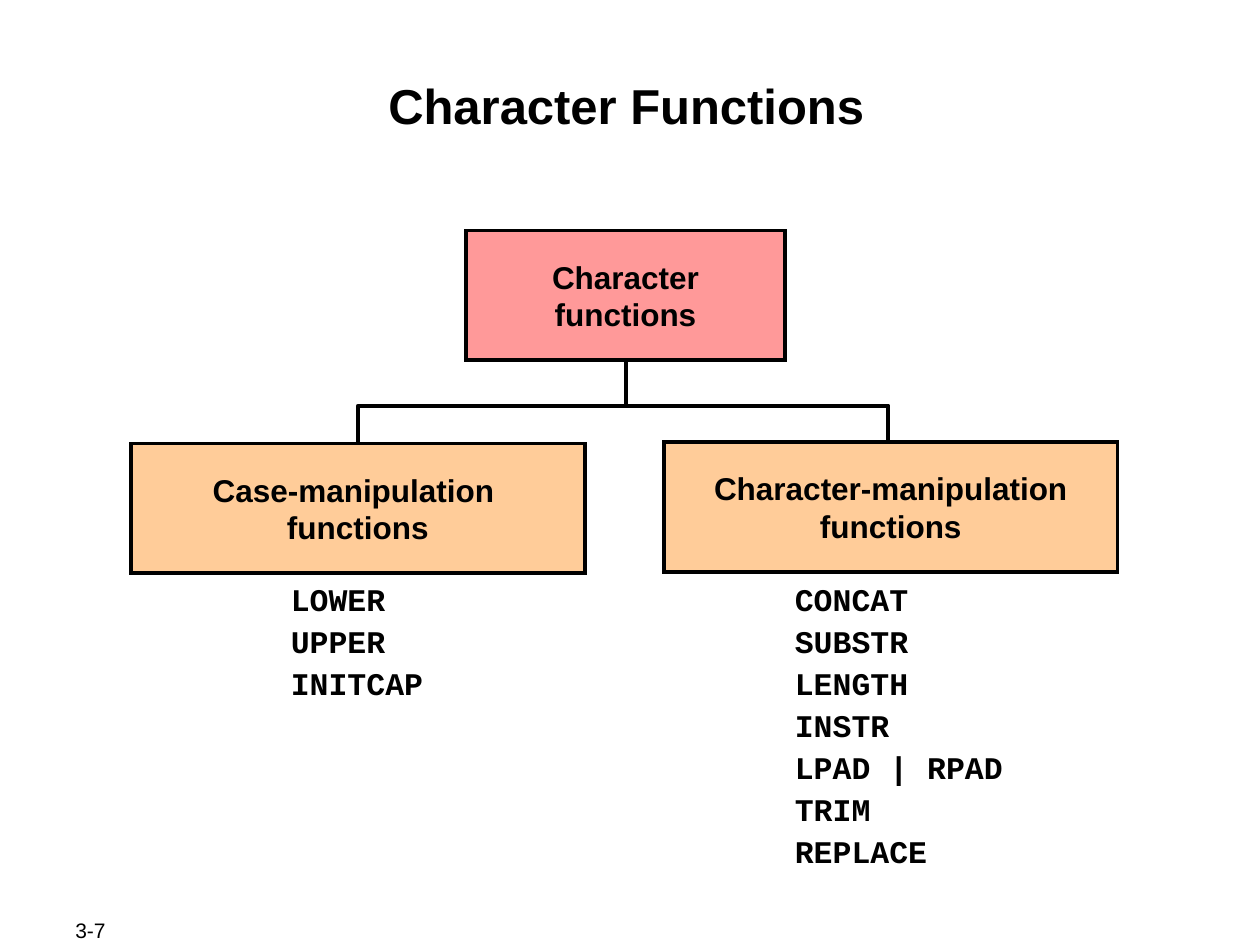
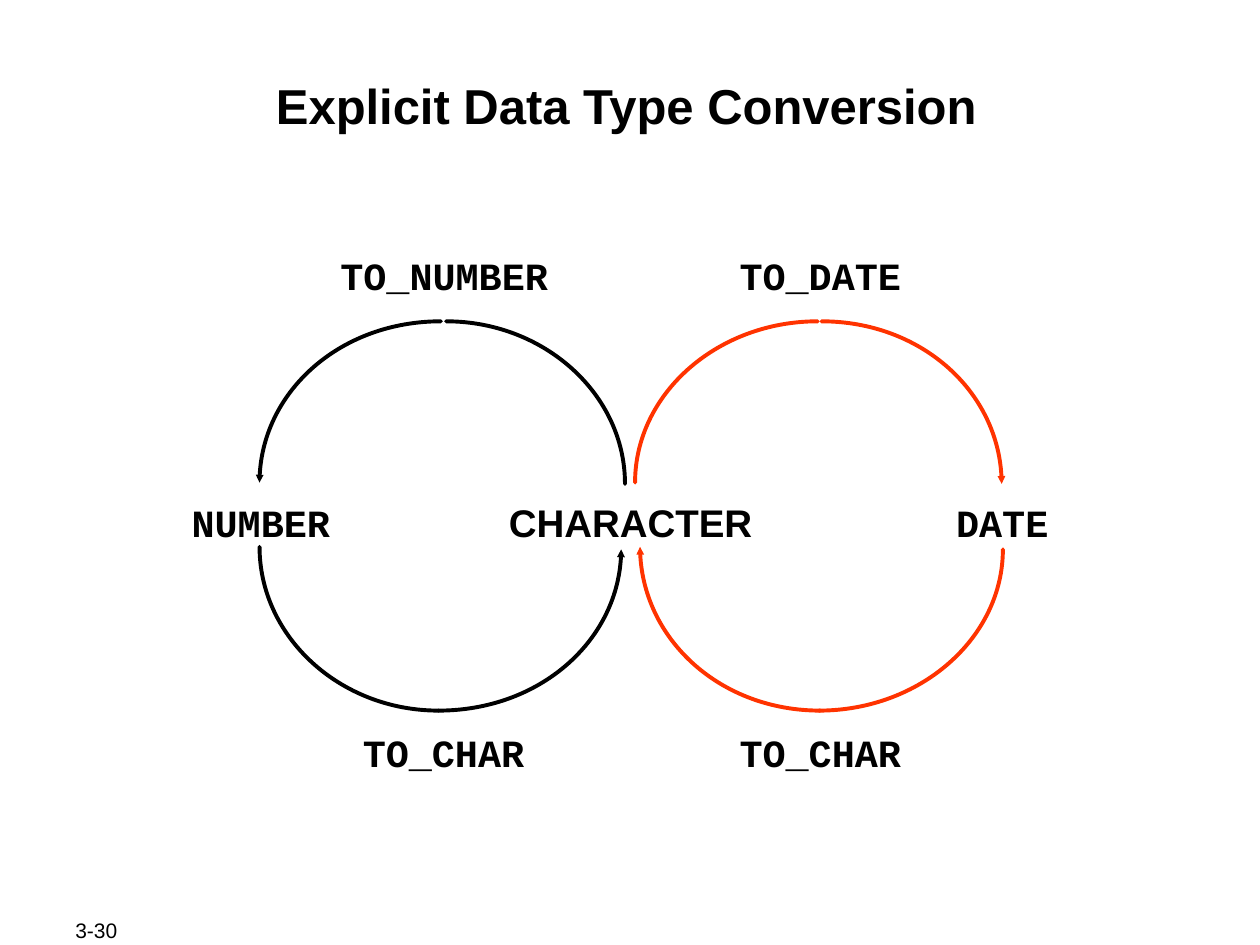
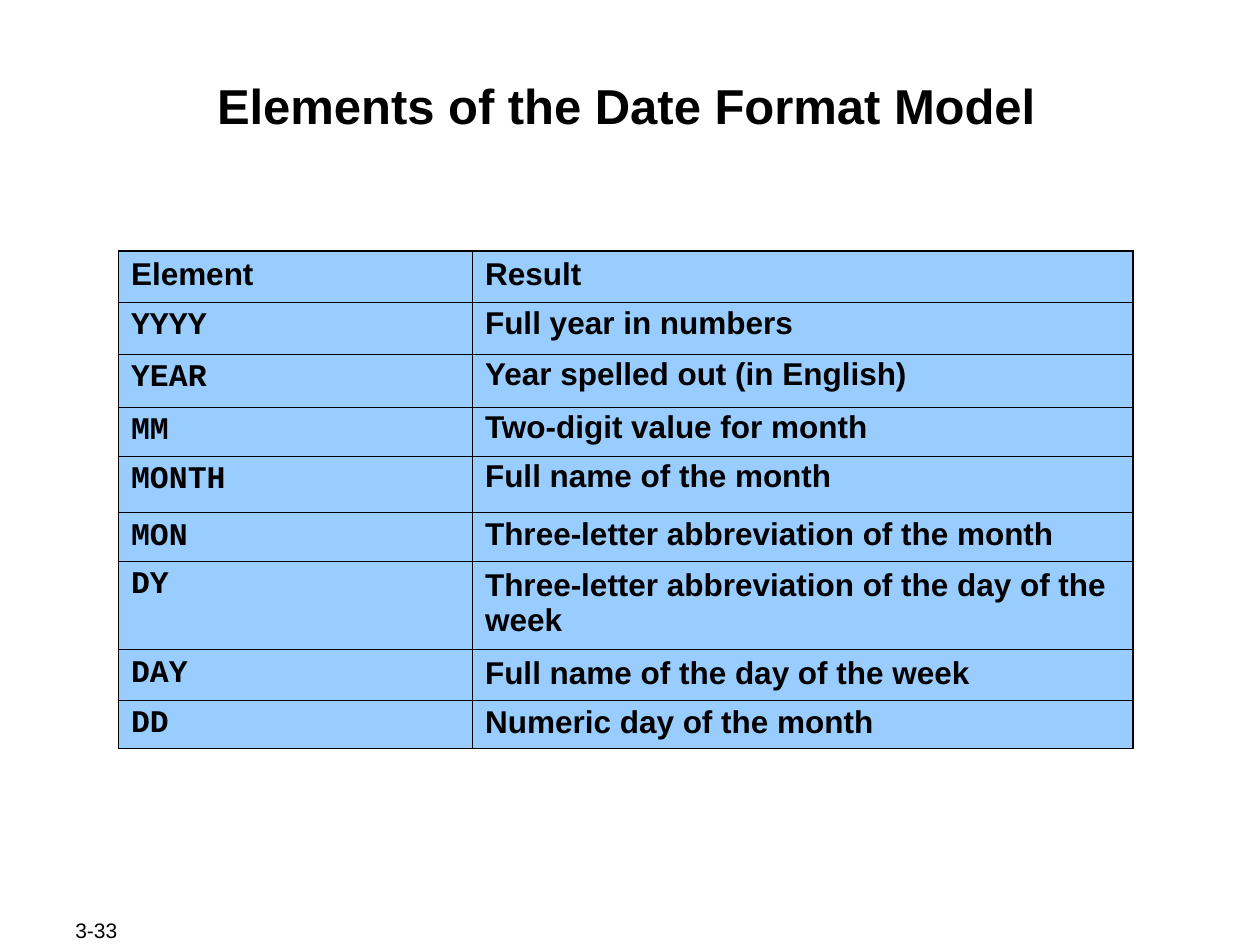
"""Build three slides on SQL functions, conversion and date formats."""
from dataclasses import dataclass, replace
from typing import Any

from lxml import etree
from pptx import Presentation
from pptx.dml.color import RGBColor
from pptx.enum.shapes import MSO_CONNECTOR, MSO_SHAPE
from pptx.enum.text import MSO_ANCHOR, PP_ALIGN
from pptx.oxml.ns import qn
from pptx.util import Emu, Pt

LEFT, CENTER = PP_ALIGN.LEFT, PP_ALIGN.CENTER
TOP, MIDDLE = MSO_ANCHOR.TOP, MSO_ANCHOR.MIDDLE
RECT, STRAIGHT = MSO_SHAPE.RECTANGLE, MSO_CONNECTOR.STRAIGHT

SCALE = 9144
BLACK, RED, PINK = "000000", "FF3300", "FF9999"
PEACH, BLUE = "FFCC99", "99CCFF"
SANS, MONO = "Arial", "Courier New"
STROKE, THICK, THIN = 2.25, 1.08, 0.45
BEND = 0.55


@dataclass(frozen=True)
class Style:
    """Font and paragraph format of a text."""
    size: int = 18
    face: str = SANS
    bold: bool = True
    align: Any = LEFT
    lead: float = 1.0
    gap: float = 0


@dataclass(frozen=True)
class Area:
    """Place of an element in px."""
    left: int
    top: int
    width: int
    height: int


@dataclass(frozen=True)
class Label:
    """Lines of text at a place."""
    area: Area
    text: str
    style: Style


@dataclass(frozen=True)
class Node:
    """Filled box of the tree."""
    area: Area
    text: str
    fill: str


@dataclass(frozen=True)
class Arc:
    """Quarter ellipse from its side end to its middle end."""
    side: tuple[int, int]
    mid: tuple[int, int]
    color: str
    arrow: bool = False


@dataclass(frozen=True)
class Row:
    """Table row with the line spacing of both cells."""
    height: int
    name: str
    result: str
    leads: tuple[float, float]


TITLE = Style(size=28, align=CENTER)
PAGE = Style(size=12, bold=False)
BOX = Style(align=CENTER)
LIST = Style(face=MONO, lead=0.9, gap=4.5)
CODE = Style(size=22, face=MONO, align=CENTER)
WORD = replace(CODE, face=SANS)

NODES = (
    Node(Area(370, 183, 253, 103), "Character\nfunctions", PINK),
    Node(Area(104, 352, 360, 103), "Case-manipulation \nfunctions", PEACH),
    Node(Area(527, 351, 360, 103), "Character-manipulation\nfunctions", PEACH),
)
LISTS = (
    Label(Area(221, 459, 126, 104), "LOWER\nUPPER\nINITCAP", LIST),
    Label(Area(621, 459, 188, 237),
          "CONCAT\nSUBSTR\nLENGTH\nINSTR\nLPAD | RPAD\nTRIM\nREPLACE", LIST),
)
STEM = ((497, 321), (497, 286))
FORK = ((284, 376), (284, 322), (705, 322), (705, 380))

TYPES = (
    Label(Area(138, 391, 138, 47), "NUMBER", CODE),
    Label(Area(358, 391, 285, 47), "CHARACTER", WORD),
    Label(Area(744, 391, 103, 47), "DATE", CODE),
    Label(Area(242, 195, 221, 47), "TO_NUMBER", CODE),
    Label(Area(565, 195, 172, 47), "TO_DATE", CODE),
    Label(Area(265, 574, 174, 47), "TO_CHAR", CODE),
    Label(Area(575, 574, 152, 47), "TO_CHAR", CODE),
)
ARCS = (
    Arc((493, 436), (348, 564), BLACK, True),
    Arc((206, 434), (348, 564), BLACK),
    Arc((496, 384), (354, 255), BLACK),
    Arc((206, 383), (350, 255), BLACK, True),
    Arc((796, 436), (650, 564), RED),
    Arc((508, 434), (651, 564), RED, True),
    Arc((795, 384), (652, 255), RED, True),
    Arc((504, 383), (649, 255), RED),
)

COLS = (281, 524)
ROWS = (
    Row(41, "Element", "Result", (1.0, 1.0)),
    Row(41, "YYYY", "Full year in numbers", (0.9, 0.9)),
    Row(42, "YEAR", "Year spelled out (in English)", (0.9, 0.9)),
    Row(39, "MM", "Two-digit value for month", (0.95, 0.9)),
    Row(45, "MONTH", "Full name of the month", (0.9, 0.9)),
    Row(38, "MON", "Three-letter abbreviation of the month", (0.95, 0.95)),
    Row(70, "DY", "Three-letter abbreviation of the day of the week", (0.95, 1.0)),
    Row(40, "DAY", "Full name of the day of the week", (0.95, 1.0)),
    Row(38, "DD", "Numeric day of the month", (0.95, 0.95)),
)


def px(size: float) -> Emu:
    """Turn px into EMU."""
    return Emu(round(size * SCALE))


def paint(target: Any, color: str) -> None:
    """Set a colour from its hex string."""
    target.rgb = RGBColor.from_string(color)


def apply(target: Any, values: dict[str, Any]) -> None:
    """Set attributes from a dict."""
    for name, value in values.items():
        setattr(target, name, value)


def place(area: Area) -> tuple[Emu, Emu, Emu, Emu]:
    """Give the area in EMU."""
    return px(area.left), px(area.top), px(area.width), px(area.height)


def write(frame: Any, text: str, style: Style) -> None:
    """Write one paragraph for each line of text."""
    for num, line in enumerate(text.split("\n")):
        para = frame.add_paragraph() if num else frame.paragraphs[0]
        apply(para, {"alignment": style.align, "line_spacing": style.lead,
                     "space_before": Pt(style.gap if num else 0)})
        run = para.add_run()
        run.text = line
        apply(run.font, {"size": Pt(style.size), "name": style.face,
                         "bold": style.bold})
        paint(run.font.color, BLACK)


def fit(frame: Any, anchor: Any, side: int, edge: int, wrap: bool = True) -> None:
    """Set wrapping, anchor and insets of a text frame."""
    apply(frame, {"word_wrap": wrap, "vertical_anchor": anchor,
                  "margin_left": px(side), "margin_right": px(side),
                  "margin_top": px(edge), "margin_bottom": px(edge)})


def label(slide: Any, item: Label, anchor: Any = TOP,
          side: int = 10, edge: int = 5) -> None:
    """Draw a text box."""
    frame = slide.shapes.add_textbox(*place(item.area)).text_frame
    fit(frame, anchor, side, edge)
    write(frame, item.text, item.style)


def stroke(shape: Any, color: str, join: str = "round") -> Any:
    """Set the line of a shape and return its element."""
    shape.line.width = Pt(STROKE)
    paint(shape.line.color, color)
    line = shape.line._get_or_add_ln()
    etree.SubElement(line, qn(f"a:{join}"))
    return line


def node(slide: Any, item: Node) -> None:
    """Draw a filled box with its text."""
    shape = slide.shapes.add_shape(RECT, *place(item.area))
    shape.shadow.inherit = False
    shape.fill.solid()
    paint(shape.fill.fore_color, item.fill)
    stroke(shape, BLACK, "miter").find(qn("a:miter")).set("lim", "800000")
    fit(shape.text_frame, MIDDLE, 10, 5, wrap=False)
    write(shape.text_frame, item.text, BOX)


def trace(slide: Any, points: Any, color: str, arrow: bool = False) -> Any:
    """Draw an open outline, with an arrowhead at its start if asked."""
    spots = [(px(x), px(y)) for x, y in points]
    pen = slide.shapes.build_freeform(*spots[0], scale=1.0)
    pen.add_line_segments(spots[1:], close=False)
    shape = pen.convert_to_shape()
    shape.shadow.inherit = False
    shape.fill.background()
    line = stroke(shape, color)
    line.set("cap", "rnd")
    if arrow:
        etree.SubElement(line, qn("a:headEnd"), type="triangle", w="sm", len="sm")
    return shape


def arc(slide: Any, item: Arc) -> None:
    """Draw a quarter ellipse as one curve."""
    (left, top), (mid, end) = item.side, item.mid
    shape = trace(slide, (item.side, item.mid), item.color, item.arrow)
    curve = next(shape._element.iter(qn("a:lnTo")))
    curve.tag = qn("a:cubicBezTo")
    bends = ((left, top + (end - top) * BEND), (mid + (left - mid) * BEND, end))
    for num, (x, y) in enumerate(bends):
        spot = etree.Element(qn("a:pt"), x=str(px(x) - shape.left),
                             y=str(px(y) - shape.top))
        curve.insert(num, spot)


def link(slide: Any, start: tuple[int, int], end: tuple[int, int]) -> None:
    """Draw a straight line."""
    line = slide.shapes.add_connector(STRAIGHT, *map(px, start + end))
    stroke(line, BLACK)
    etree.SubElement(line._element.spPr, qn("a:effectLst"))


def border(cell: Any, widths: dict[str, float]) -> None:
    """Set the borders of a cell by side."""
    props = cell._tc.get_or_add_tcPr()
    for side, width in widths.items():
        line = etree.SubElement(props, qn(f"a:ln{side}"), w=str(Pt(width)))
        fill = etree.SubElement(line, qn("a:solidFill"))
        etree.SubElement(fill, qn("a:srgbClr"), val=BLACK)


def grid(slide: Any, area: Area) -> None:
    """Draw the table of date elements."""
    table = slide.shapes.add_table(len(ROWS), len(COLS), *place(area)).table
    apply(table, {"first_row": False, "horz_banding": False})
    for col, width in zip(table.columns, COLS):
        col.width = px(width)
    last = len(ROWS) - 1
    for num, row in enumerate(ROWS):
        table.rows[num].height = px(row.height)
        for col, text in enumerate((row.name, row.result)):
            cell = table.cell(num, col)
            border(cell, {"L": THIN if col else THICK,
                          "R": THICK if col else THIN,
                          "T": THICK if num < 2 else THIN,
                          "B": THICK if num in (0, last) else THIN})
            cell.fill.solid()
            paint(cell.fill.fore_color, BLUE)
            face = MONO if num and not col else SANS
            write(cell.text_frame, text, Style(face=face, lead=row.leads[col]))


def start(deck: Any, title: str, page: str) -> Any:
    """Add a slide with its title and page number."""
    slide = deck.slides.add_slide(deck.slide_layouts[6])
    label(slide, Label(Area(50, 728, 106, 20), page, PAGE), MIDDLE, 10, 0)
    label(slide, Label(Area(97, 59, 800, 96), title, TITLE), TOP, 1, 1)
    return slide


def main() -> None:
    """Build and save the deck."""
    deck = Presentation()
    apply(deck, {"slide_width": px(1000), "slide_height": px(750)})

    tree = start(deck, "Character Functions", "3-7")
    for item in LISTS:
        label(tree, item)
    link(tree, *STEM)
    trace(tree, FORK, BLACK)
    for item in NODES:
        node(tree, item)

    loop = start(deck, "Explicit Data Type Conversion", "3-30")
    for item in TYPES:
        label(loop, item)
    for item in ARCS:
        arc(loop, item)

    dates = start(deck, "Elements of the Date Format Model", "3-33")
    grid(dates, Area(94, 199, sum(COLS), sum(row.height for row in ROWS)))
    deck.save("out.pptx")


if __name__ == "__main__":
    main()
